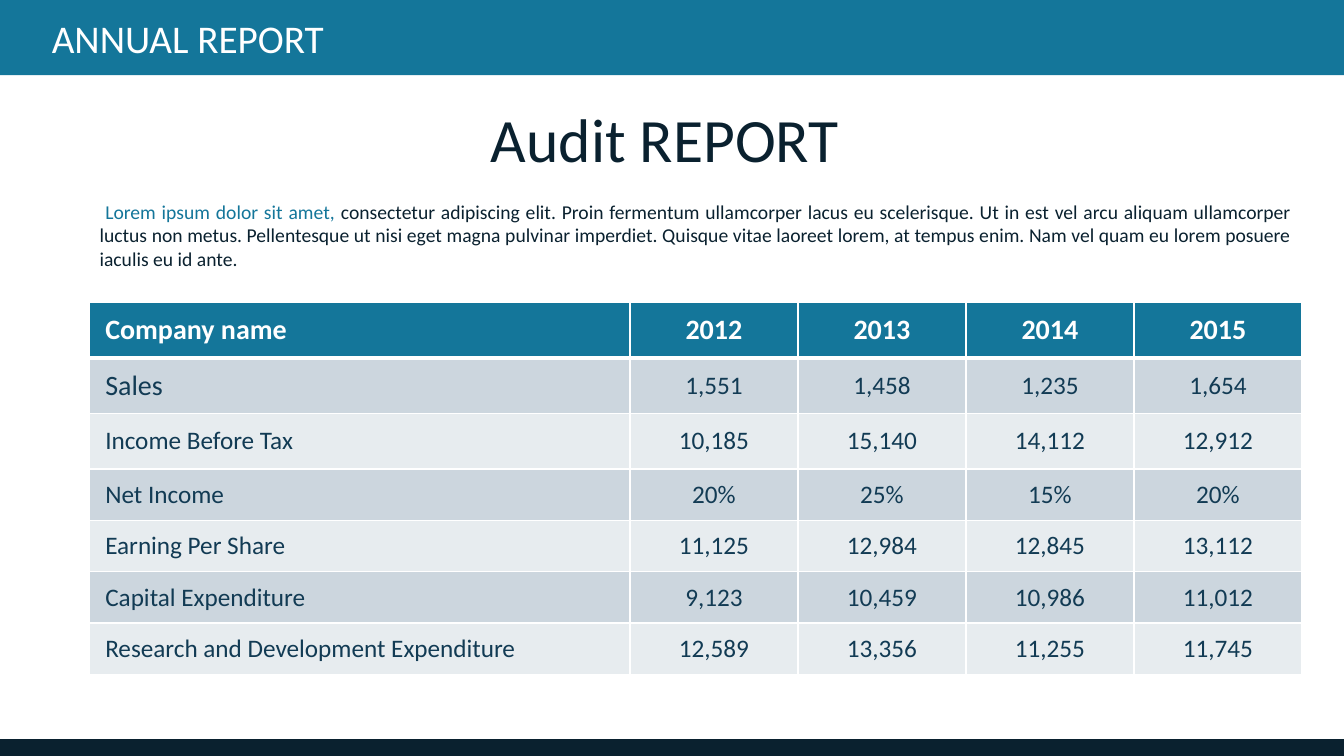
from lxml import etree
from pptx import Presentation
from pptx.dml.color import RGBColor
from pptx.enum.shapes import MSO_SHAPE
from pptx.enum.text import MSO_ANCHOR, PP_ALIGN
from pptx.oxml.ns import qn
from pptx.util import Pt

FONT = "Calibri"
COLORS = {
    "teal": "14769A",
    "navy": "0A212F",
    "white": "FFFFFF",
    "body": "123B54",
    "band_dark": "CCD6DE",
    "band_light": "E7ECEF",
}

SLIDE_W, SLIDE_H = 960, 540
COL_WIDTHS = [386] + [120] * 4
ROW_HEIGHTS = [39.6] * 3 + [36.7] * 4
ROWS = [
    ["Company name", "2012", "2013", "2014", "2015"],
    ["Sales", "1,551", "1,458", "1,235", "1,654"],
    ["Income Before Tax", "10,185", "15,140", "14,112", "12,912"],
    ["Net Income", "20%", "25%", "15%", "20%"],
    ["Earning Per Share", "11,125", "12,984", "12,845", "13,112"],
    ["Capital Expenditure", "9,123", "10,459", "10,986", "11,012"],
    ["Research and Development Expenditure", "12,589", "13,356", "11,255", "11,745"],
]
INTRO_LEAD = " Lorem ipsum dolor sit amet, "
INTRO_REST = (
    "consectetur adipiscing elit. Proin fermentum ullamcorper lacus eu scelerisque. "
    "Ut in est vel arcu aliquam ullamcorper luctus non metus. Pellentesque ut nisi eget "
    "magna pulvinar imperdiet. Quisque vitae laoreet lorem, at tempus enim. "
    "Nam vel quam eu lorem posuere iaculis eu id ante. "
)


def rgb(name):
    return RGBColor.from_string(COLORS[name])


def add_bar(s, top, height, color):
    sp = s.shapes.add_shape(MSO_SHAPE.RECTANGLE, 0, Pt(top), Pt(SLIDE_W), Pt(height))
    sp.shadow.inherit = False
    sp.fill.solid()
    sp.fill.fore_color.rgb = rgb(color)
    sp.line.fill.background()


def add_run(p, text, size, color, bold=False):
    r = p.add_run()
    r.text = text
    r.font.name = FONT
    r.font.size = Pt(size)
    r.font.bold = bold
    r.font.color.rgb = rgb(color)


def add_text(s, box, size, runs, align=PP_ALIGN.LEFT):
    tf = s.shapes.add_textbox(*[Pt(v) for v in box]).text_frame
    tf.word_wrap = True
    p = tf.paragraphs[0]
    p.alignment = align
    for text, color in runs:
        add_run(p, text, size, color)


def set_borders(cell, bottom):
    tc_pr = cell._tc.get_or_add_tcPr()
    for side, width in (("L", 1), ("R", 1), ("T", 1), ("B", bottom)):
        ln = etree.SubElement(tc_pr, qn(f"a:ln{side}"), w=str(Pt(width)))
        fill = etree.SubElement(ln, qn("a:solidFill"))
        etree.SubElement(fill, qn("a:srgbClr"), val=COLORS["white"])


def style_cell(cell, text, row, col):
    header = row == 0
    set_borders(cell, 3 if header else 1)
    cell.fill.solid()
    band = "band_dark" if row % 2 else "band_light"
    cell.fill.fore_color.rgb = rgb("teal" if header else band)
    cell.vertical_anchor = MSO_ANCHOR.MIDDLE
    cell.margin_left = cell.margin_right = Pt(11.2)
    cell.margin_top = cell.margin_bottom = Pt(3.6)
    p = cell.text_frame.paragraphs[0]
    p.alignment = PP_ALIGN.CENTER if col else PP_ALIGN.LEFT
    size = 20 if header or text == "Sales" else 18
    add_run(p, text, size, "white" if header else "body", header)


def add_report_table(s, left, top):
    table = s.shapes.add_table(
        len(ROWS), len(COL_WIDTHS), Pt(left), Pt(top),
        Pt(sum(COL_WIDTHS)), Pt(sum(ROW_HEIGHTS)),
    ).table
    for column, width in zip(table.columns, COL_WIDTHS):
        column.width = Pt(width)
    for row, height in zip(table.rows, ROW_HEIGHTS):
        row.height = Pt(height)
    for i, values in enumerate(ROWS):
        for j, text in enumerate(values):
            style_cell(table.cell(i, j), text, i, j)


def main():
    prs = Presentation()
    prs.slide_width, prs.slide_height = Pt(SLIDE_W), Pt(SLIDE_H)
    s = prs.slides.add_slide(prs.slide_layouts[6])

    # Footer and header bars
    add_bar(s, 528, 12, "navy")
    add_bar(s, 0, 53.8, "teal")

    # Headings and introduction
    add_text(s, (30, 6.5, 246, 41.2), 28, [("ANNUAL REPORT", "white")])
    add_text(s, (180, 68.4, 600, 60.6), 44, [("Audit REPORT ", "navy")], PP_ALIGN.CENTER)
    add_text(s, (64, 139, 866, 58.2), 14,
             [(INTRO_LEAD, "teal"), (INTRO_REST, "navy")], PP_ALIGN.JUSTIFY)

    # Figures by year
    add_report_table(s, 64, 216.2)

    prs.save("out.pptx")


if __name__ == "__main__":
    main()
